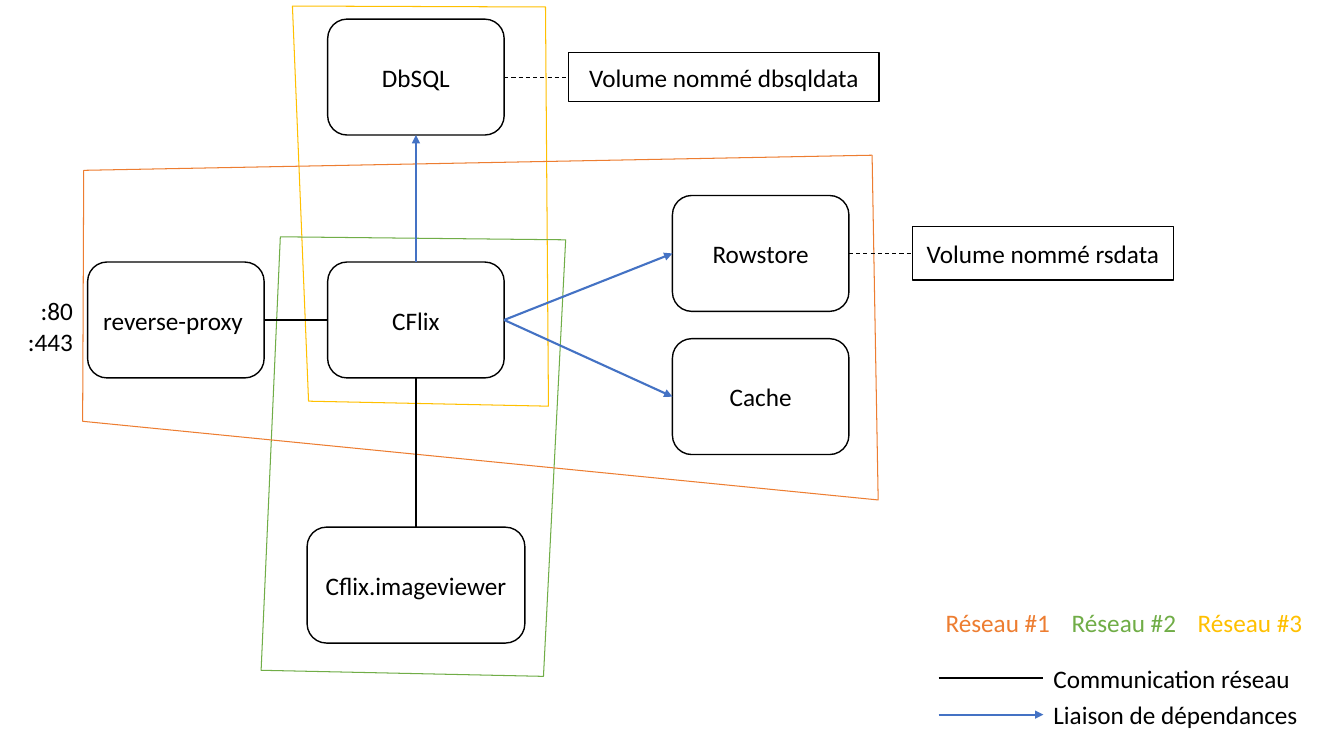
from typing import NamedTuple, Optional

import lxml.etree
import pptx
import pptx.dml.color
import pptx.enum.dml
import pptx.enum.shapes
import pptx.enum.text
import pptx.oxml.ns
import pptx.util

SHAPES = pptx.enum.shapes.MSO_SHAPE
ALIGN = pptx.enum.text.PP_ALIGN
BLACK, WHITE, BLUE = "000000", "FFFFFF", "4472C4"
ORANGE, GREEN, YELLOW = "ED7D31", "70AD47", "FFC000"
TOP, LEFT, BOTTOM, RIGHT = range(4)  # connection sites of a rectangle

# All positions and sizes are percentages of the slide's width and height.
COL_PROXY, COL_APP, COL_DATA = 13.09, 30.95, 56.6
ROW_DBSQL, ROW_ROWSTORE, ROW_APP, ROW_CACHE, ROW_VIEWER = 10.2, 33.53, 42.33, 52.47, 77.4
NODE_W, NODE_H = 13.13, 15.33
LINE_START, LABEL_X, LABEL_W, LABEL_H = 69.84, 77.64, 22.3, 5.33
NETWORK_X, NETWORK_Y, NETWORK_STEP = 69.62, 82.27, 9.38


class Box(NamedTuple):
    """A labelled box given by its centre and size."""
    key: str
    text: str
    x: float
    y: float
    w: float = NODE_W
    h: float = NODE_H
    kind: int = SHAPES.ROUNDED_RECTANGLE
    align: int = ALIGN.CENTER


class Link(NamedTuple):
    """A line between the connection sites of two boxes."""
    start: str
    start_site: int
    end: str
    end_site: int


class Style(NamedTuple):
    """The look of a line."""
    color: str
    width: float
    arrow: bool = False
    dashed: bool = False


class Network(NamedTuple):
    """A coloured outline around the boxes of one network."""
    name: str
    color: str
    corners: list


NETWORK_LINK = Style(BLACK, 1.5)
DEPENDENCY = Style(BLUE, 1.5, arrow=True)
STORAGE = Style(BLACK, 0.75, dashed=True)

NETWORKS = [
    Network("Réseau #1", ORANGE,
            [(6.23, 22.53), (64.89, 20.53), (65.34, 66.13), (6.15, 55.73)]),
    Network("Réseau #2", GREEN,
            [(20.86, 31.33), (42.09, 31.73), (40.44, 89.47), (19.43, 88.67)]),
    Network("Réseau #3", YELLOW,
            [(21.76, 0.8), (22.96, 53.07), (40.81, 53.73), (40.59, 0.93)]),
]
BOXES = [
    Box("app", "CFlix", COL_APP, ROW_APP),
    Box("proxy", "reverse-proxy", COL_PROXY, ROW_APP, align=ALIGN.LEFT),
    Box("rowstore", "Rowstore", COL_DATA, ROW_ROWSTORE),
    Box("dbsql", "DbSQL", COL_APP, ROW_DBSQL),
    Box("cache", "Cache", COL_DATA, ROW_CACHE),
    Box("viewer", "Cflix.imageviewer", COL_APP, ROW_VIEWER, w=16.2),
    Box("rsdata", "Volume nommé rsdata", 77.6, ROW_ROWSTORE, 19.43, 7.07, SHAPES.RECTANGLE),
    Box("dbsqldata", "Volume nommé dbsqldata", 53.86, ROW_DBSQL, 23.1, 6.53, SHAPES.RECTANGLE),
]
LINKS = {
    NETWORK_LINK: [Link("proxy", RIGHT, "app", LEFT), Link("viewer", TOP, "app", BOTTOM)],
    DEPENDENCY: [Link("app", RIGHT, "rowstore", LEFT), Link("app", TOP, "dbsql", BOTTOM),
                 Link("app", RIGHT, "cache", LEFT)],
    STORAGE: [Link("dbsql", RIGHT, "dbsqldata", LEFT),
              Link("rowstore", RIGHT, "rsdata", LEFT)],
}
LEGEND = [("Communication réseau", 89.73, NETWORK_LINK),
          ("Liaison de dépendances", 94.53, DEPENDENCY)]

prs = pptx.Presentation()
prs.slide_width = pptx.util.Inches(13.33)
prs.slide_height = pptx.util.Inches(7.5)
slide = prs.slides.add_slide(prs.slide_layouts[6])


def across(share: float) -> int:
    """Turn a percentage of the slide's width into a length."""
    return round(prs.slide_width * share / 100)


def down(share: float) -> int:
    """Turn a percentage of the slide's height into a length."""
    return round(prs.slide_height * share / 100)


def rgb(color: str) -> pptx.dml.color.RGBColor:
    """Turn a hex string into a colour."""
    return pptx.dml.color.RGBColor.from_string(color)


def set_line(line, color: str, width: float) -> None:
    """Set the colour and width of a line."""
    line.color.rgb = rgb(color)
    line.width = pptx.util.Pt(width)


def write(sp, text: str, color: str = BLACK, align: int = ALIGN.LEFT,
          wrap: bool = True) -> None:
    """Put vertically centred text into a shape."""
    tf = sp.text_frame
    tf.text = text
    tf.word_wrap = wrap
    tf.vertical_anchor = pptx.enum.text.MSO_ANCHOR.MIDDLE
    for p in tf.paragraphs:
        p.alignment = align
        p.font.name = "Calibri"
        p.font.size = pptx.util.Pt(18)
        p.font.color.rgb = rgb(color)


def add_label(text: str, x: float, y: float, w: float, h: float = LABEL_H,
              color: str = BLACK, align: int = ALIGN.LEFT, wrap: bool = True) -> None:
    """Add text with its left edge at x and its middle at y."""
    sp = slide.shapes.add_textbox(across(x), down(y - h / 2), across(w), down(h))
    write(sp, text, color, align, wrap)


def add_box(box: Box):
    """Draw a box and return its shape."""
    sp = slide.shapes.add_shape(box.kind, across(box.x - box.w / 2), down(box.y - box.h / 2),
                                across(box.w), down(box.h))
    sp.shadow.inherit = False
    sp.fill.solid()
    sp.fill.fore_color.rgb = rgb(WHITE)
    set_line(sp.line, BLACK, 1)
    write(sp, box.text, align=box.align)
    return sp


def add_network(network: Network) -> None:
    """Draw the outline of a network."""
    corners = [(across(x), down(y)) for x, y in network.corners]
    builder = slide.shapes.build_freeform(*corners[0])
    builder.add_line_segments(corners[1:], close=True)
    sp = builder.convert_to_shape()
    sp.shadow.inherit = False
    sp.fill.background()
    set_line(sp.line, network.color, 0.75)


def add_line(style: Style, x1: float = 0, x2: float = 0, y: float = 0,
             link: Optional[Link] = None) -> None:
    """Draw a level line, or one that joins two boxes."""
    cx = slide.shapes.add_connector(pptx.enum.shapes.MSO_CONNECTOR.STRAIGHT,
                                    across(x1), down(y), across(x2), down(y))
    if link:
        cx.begin_connect(shapes[link.start], link.start_site)
        cx.end_connect(shapes[link.end], link.end_site)
    set_line(cx.line, style.color, style.width)
    if style.dashed:
        cx.line.dash_style = pptx.enum.dml.MSO_LINE.DASH
    if style.arrow:
        ln = cx.line._get_or_add_ln()
        lxml.etree.SubElement(ln, pptx.oxml.ns.qn("a:tailEnd"), type="triangle")
    lxml.etree.SubElement(cx._element.spPr, pptx.oxml.ns.qn("a:effectLst"))


for network in reversed(NETWORKS):
    add_network(network)
shapes = {box.key: add_box(box) for box in BOXES}
for style, links in LINKS.items():
    for link in links:
        add_line(style, link=link)

add_label(":80\n:443", 0.83, 43.13, 5.33, 9.47, align=ALIGN.RIGHT)
for i, network in enumerate(NETWORKS):
    add_label(network.name, NETWORK_X + i * NETWORK_STEP, NETWORK_Y, NETWORK_STEP,
              color=network.color, wrap=False)
for text, y, style in LEGEND:
    add_line(style, LINE_START, LABEL_X, y)
    add_label(text, LABEL_X, y, LABEL_W)

prs.save("out.pptx")
